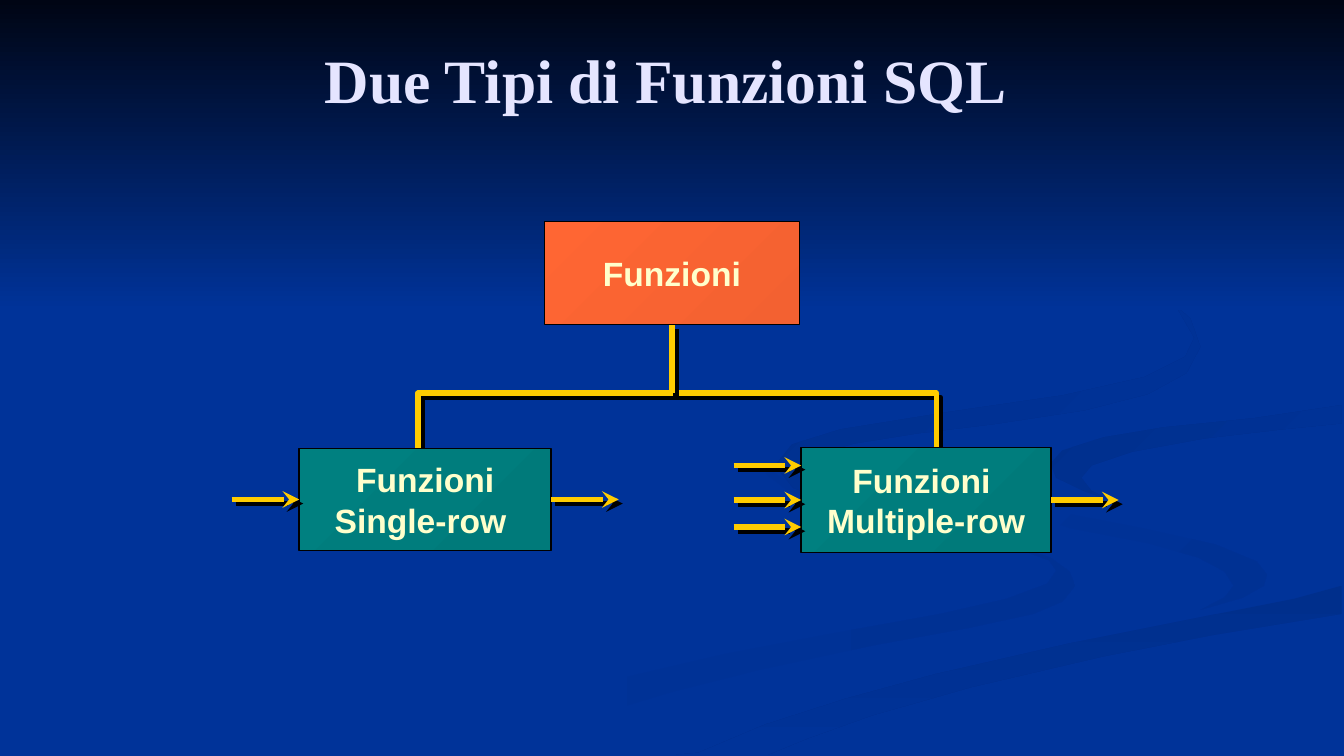
import pptx
import pptx.dml.color
import pptx.enum.shapes
import pptx.enum.text
import pptx.oxml
import pptx.oxml.ns
import pptx.util
from pptx.util import Cm

COLORS = {
    "blue": "003399",
    "night": "000514",
    "swirl": "003193",
    "swirl_dark": "002F8C",
    "yellow": "FFCC00",
    "black": "000000",
    "title": "E5E5FF",
    "cream": "FFFFCC",
    "orange": "FF6633",
    "orange_dark": "F36131",
    "teal": "008080",
    "teal_dark": "007A7A",
}

SWIRLS = [
    ("blue", "swirl", 0, [
        (26.47, 14.05), (25.63, 13.79), (23.11, 13.18), (21.21, 12.75), (20.12, 12.32),
        (19.51, 11.91), (19.48, 11.66), (19.3, 11.94), (19.86, 12.37), (21.36, 12.83),
        (24.16, 13.46), (25.81, 13.89), (26.44, 14.12), (26.62, 14.38), (26.39, 14.71),
        (25.37, 15.09), (23.7, 15.47), (20.88, 15.98), (18.26, 16.48), (15.52, 17.12),
        (12.75, 17.96), (10.16, 19.02), (12.24, 19.02), (14.61, 18.14), (16.89, 17.45),
        (19.1, 16.89), (22.02, 16.26), (24.43, 15.82), (26.04, 15.47), (26.77, 15.16),
        (27.1, 14.76), (26.95, 14.4)]),
    ("blue", "swirl", 45, [
        (31.93, 14.48), (31.67, 14.15), (30.63, 13.72), (28.8, 13.31), (26.82, 12.93),
        (25.65, 12.65), (24.84, 12.27), (24.51, 11.79), (24.71, 12.29), (25.58, 12.83),
        (26.97, 13.31), (28.93, 13.69), (30.2, 14.05), (30.86, 14.4), (31.09, 14.76),
        (30.86, 15.06), (30.25, 15.37), (31.32, 15.06), (31.85, 14.76)]),
    ("swirl_dark", "blue", 90, [
        (17.04, 19.02), (19.35, 19.02), (20.32, 18.62), (21.97, 18.03), (24.46, 17.32),
        (27.81, 16.54), (30.58, 16), (33.81, 15.47), (33.81, 14.76), (32.61, 15.09),
        (30.58, 15.49), (26.97, 16.21), (23.57, 16.99), (21.34, 17.6), (19.28, 18.26),
        (17.6, 18.97)]),
    ("swirl_dark", "blue", 45, [
        (26.47, 11.68), (26.62, 12.04), (27.31, 12.37), (27.97, 12.6), (27.51, 12.37),
        (27.25, 12.04), (27.51, 11.73), (28.55, 11.38), (30.35, 11.05), (32.31, 10.82),
        (33.81, 10.67), (33.81, 10.21), (31.6, 10.54), (29.31, 10.77), (27.81, 11.02),
        (26.77, 11.35)]),
    ("swirl_dark", "blue", 45, [
        (23.14, 10.92), (25.04, 10.69), (27.33, 10.34), (28.93, 9.93), (29.9, 9.4),
        (30.25, 8.74), (30, 8.03), (29.26, 7.39), (27.79, 6.63), (25.83, 5.92),
        (27.25, 6.45), (28.63, 7.09), (29.67, 7.77), (30.1, 8.51), (29.87, 8.99),
        (28.85, 9.5), (26.8, 9.96), (23.85, 10.39), (21.18, 10.82), (19.96, 11.2),
        (19.53, 11.73), (19.99, 12.29), (21.06, 12.7), (20.35, 12.32), (20.09, 11.94),
        (20.52, 11.48), (21.51, 11.18)]),
]

BRACKET = [(10.54, 11.28), (10.54, 9.91), (23.6, 9.91), (23.6, 11.38)]
ARROW_LENGTH = Cm(1.7)
TOP, LEFT, BOTTOM, RIGHT = range(4)


def rgb(name):
    return pptx.dml.color.RGBColor.from_string(COLORS[name])


def add_drop_shadow(properties):
    properties.append(pptx.oxml.parse_xml(
        f'<a:effectLst {pptx.oxml.ns.nsdecls("a")}>'
        '<a:outerShdw dist="53340" dir="2700000" algn="ctr" rotWithShape="0">'
        f'<a:srgbClr val="{COLORS["black"]}"/></a:outerShdw></a:effectLst>'))


def fill_gradient(shape, start, end, angle):
    shape.fill.gradient()
    shape.fill.gradient_angle = (360 - angle) % 360
    for stop, name in zip(shape.fill.gradient_stops, (start, end)):
        stop.color.rgb = rgb(name)


def add_span(para, text, font, size, color):
    span = para.add_run()
    span.text = text
    span.font.name = font
    span.font.size = pptx.util.Pt(size)
    span.font.bold = True
    span.font.color.rgb = rgb(color)
    return span


def add_outline(page, points, close):
    first, *others = [(Cm(x), Cm(y)) for x, y in points]
    builder = page.shapes.build_freeform(*first)
    builder.add_line_segments(others, close=close)
    return builder.convert_to_shape()


def add_swirl(page, start, end, angle, points):
    swirl = add_outline(page, points, True)
    swirl.shadow.inherit = False
    swirl.line.fill.background()
    fill_gradient(swirl, start, end, angle)


def add_rectangle(page, left, top, width, height, start, end, angle):
    box = page.shapes.add_shape(
        pptx.enum.shapes.MSO_SHAPE.RECTANGLE, Cm(left), Cm(top), Cm(width), Cm(height))
    box.shadow.inherit = False
    fill_gradient(box, start, end, angle)
    return box


def add_sky(page):
    sky = add_rectangle(page, 0, 0, 33.87, 7.82, "night", "blue", 90)
    sky.line.fill.background()


def add_title(page, text):
    box = page.shapes.add_textbox(Cm(1.7), Cm(0.76), Cm(30.48), Cm(3.18))
    frame = box.text_frame
    frame.word_wrap = True
    frame.margin_top = Cm(0.3)
    para = frame.paragraphs[0]
    para.alignment = pptx.enum.text.PP_ALIGN.CENTER
    span = add_span(para, text, "Times New Roman", 44, "title")
    properties = span.font.fill._xPr
    add_drop_shadow(properties)
    properties.append(properties.find(pptx.oxml.ns.qn("a:latin")))


def add_node(page, left, top, width, height, start, end, lines):
    box = add_rectangle(page, left, top, width, height, start, end, 45)
    box.line.color.rgb = rgb("black")
    box.line.width = pptx.util.Pt(1)
    frame = box.text_frame
    frame.word_wrap = False
    frame.vertical_anchor = pptx.enum.text.MSO_ANCHOR.MIDDLE
    for index, text in enumerate(lines):
        para = frame.add_paragraph() if index else frame.paragraphs[0]
        para.alignment = pptx.enum.text.PP_ALIGN.CENTER
        add_span(para, text, "Arial", 24, "cream")
    return box


def style_line(shape):
    shape.line.color.rgb = rgb("yellow")
    shape.line.width = pptx.util.Pt(4)
    add_drop_shadow(shape._element.spPr)


def add_line(page, x1, y1, x2, y2):
    line = page.shapes.add_connector(
        pptx.enum.shapes.MSO_CONNECTOR.STRAIGHT, x1, y1, x2, y2)
    style_line(line)
    return line


def add_arrow(page, left, y):
    arrow = add_line(page, left, y, left + ARROW_LENGTH, y)
    arrow.line._get_or_add_ln().append(pptx.oxml.parse_xml(
        f'<a:tailEnd {pptx.oxml.ns.nsdecls("a")} type="stealth"/>'))
    return arrow


def add_flow(page, box):
    middle = box.top + int(box.height / 2)
    add_arrow(page, box.left - ARROW_LENGTH, middle).end_connect(box, LEFT)
    add_arrow(page, box.left + box.width, middle).begin_connect(box, RIGHT)


def add_bracket(page):
    bracket = add_outline(page, BRACKET, False)
    bracket.fill.background()
    style_line(bracket)


def main():
    deck = pptx.Presentation()
    deck.slide_width, deck.slide_height = Cm(33.87), Cm(19.05)
    page = deck.slides.add_slide(deck.slide_layouts[6])
    page.background.fill.solid()
    page.background.fill.fore_color.rgb = rgb("blue")
    for swirl in SWIRLS:
        add_swirl(page, *swirl)
    add_sky(page)
    add_bracket(page)
    add_title(page, "Due Tipi di Funzioni SQL ")

    root = add_node(page, 13.72, 5.59, 6.43, 2.59, "orange", "orange_dark", ["Funzioni"])
    single = add_node(page, 7.54, 11.3, 6.35, 2.57, "teal", "teal_dark",
                      ["Funzioni", "Single-row "])
    multiple = add_node(page, 20.19, 11.28, 6.3, 2.64, "teal", "teal_dark",
                        ["Funzioni ", "Multiple-row"])

    center = root.left + int(root.width / 2)
    trunk = add_line(page, center, Cm(9.91), center, root.top + root.height)
    trunk.end_connect(root, BOTTOM)
    for box in (single, multiple):
        add_flow(page, box)
    for y in (11.73, 13.28):
        add_arrow(page, multiple.left - ARROW_LENGTH, Cm(y))
    deck.save("out.pptx")


if __name__ == "__main__":
    main()
